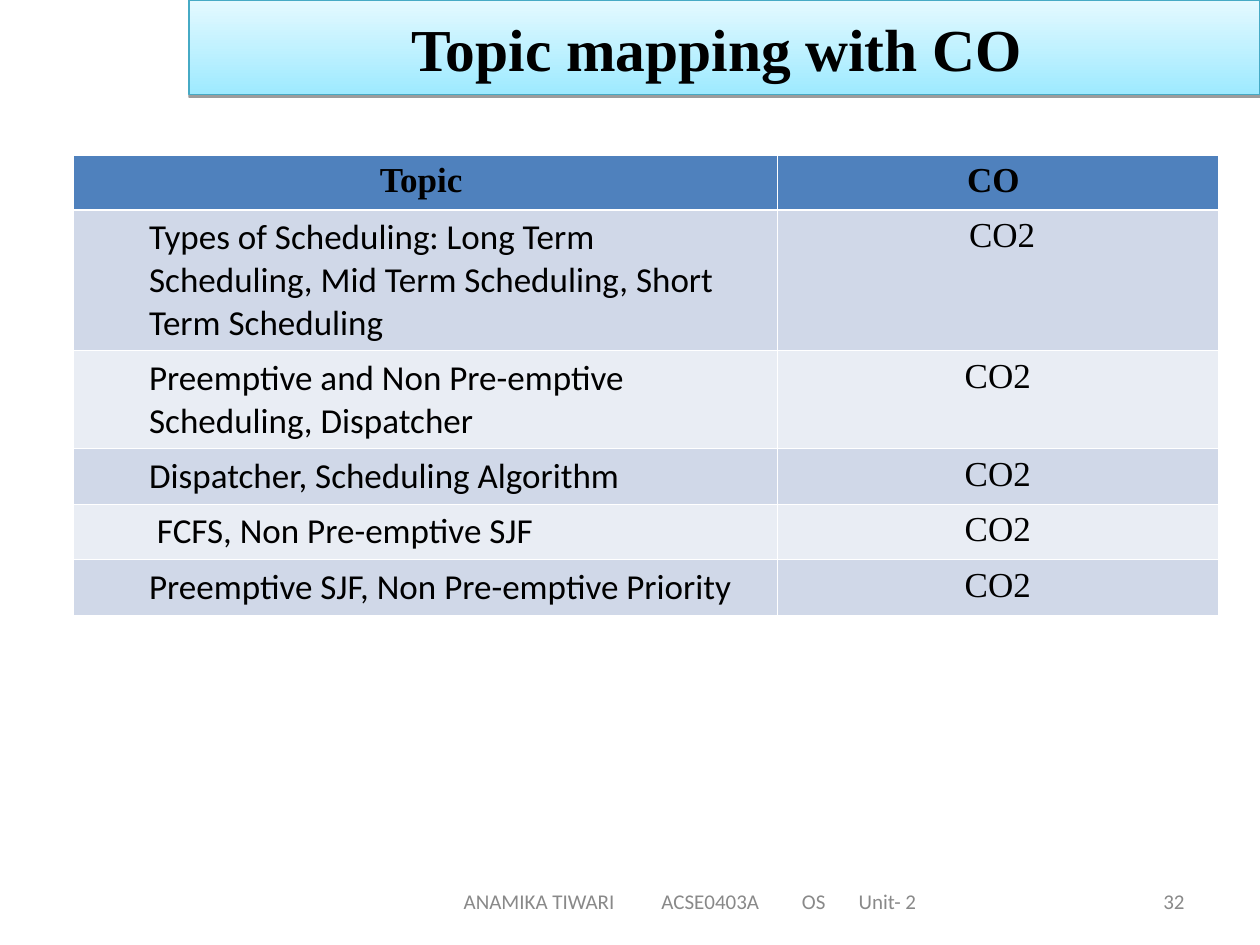
import pptx
import pptx.util
import pptx.dml.color
import pptx.enum.shapes
import pptx.enum.text
import pptx.oxml
import pptx.oxml.ns
import lxml.etree

Pt = pptx.util.Pt
RGB = pptx.dml.color.RGBColor
ALIGN = pptx.enum.text.PP_ALIGN
MIDDLE = pptx.enum.text.MSO_ANCHOR.MIDDLE
qn = pptx.oxml.ns.qn

BLACK = RGB(0x00, 0x00, 0x00)
WHITE = RGB(0xFF, 0xFF, 0xFF)
GREY = RGB(0x89, 0x89, 0x89)
TEAL = RGB(0x46, 0xAA, 0xC5)
AQUA = RGB(0x9E, 0xEA, 0xFF)
PALE_AQUA = RGB(0xE4, 0xF9, 0xFF)
HEADER_BLUE = RGB(0x4F, 0x81, 0xBD)
BANDS = (RGB(0xD0, 0xD8, 0xE8), RGB(0xE9, 0xED, 0xF4))

SERIF, SANS = "Times New Roman", "Calibri"
THIN, THICK = 0.45, 1.47


class Deck:
    """Holds the presentation, its current slide and the shared style."""

    def __init__(self, width, height):
        self.prs = pptx.Presentation()
        self.prs.slide_width, self.prs.slide_height = Pt(width), Pt(height)
        self.s = self.prs.slides.add_slide(self.prs.slide_layouts[6])

    def set_text(self, tf, text, font, size, color=BLACK, bold=False, align=ALIGN.LEFT, tabs=()):
        tf.word_wrap = True
        p = tf.paragraphs[0]
        p.text = text
        p.alignment = align
        if tabs:
            tab_list = lxml.etree.SubElement(p._p.get_or_add_pPr(), qn("a:tabLst"))
            for stop in tabs:
                lxml.etree.SubElement(tab_list, qn("a:tab"), pos=str(int(Pt(stop))), algn="l")
        p.font.name, p.font.size, p.font.bold = font, Pt(size), bold
        p.font.color.rgb = color

    def footer(self, text, x, width, align, inset=7.2, tabs=()):
        tf = self.s.shapes.add_textbox(Pt(x), Pt(500.4), Pt(width), Pt(28.8)).text_frame
        tf.vertical_anchor = MIDDLE
        tf.margin_left = Pt(inset)
        self.set_text(tf, text, SANS, 12, GREY, align=align, tabs=tabs)

    def banner(self, text, x, y, width, height):
        sp = self.s.shapes.add_shape(pptx.enum.shapes.MSO_SHAPE.RECTANGLE,
                                     Pt(x), Pt(y), Pt(width), Pt(height))
        sp.fill.gradient()
        sp.fill.gradient_angle = 90
        for stop, color in zip(sp.fill.gradient_stops, (AQUA, PALE_AQUA)):
            stop.color.rgb = color
        sp.line.color.rgb, sp.line.width = TEAL, Pt(0.75)
        # Drop shadow below the banner
        sp.shadow.inherit = False
        effects = sp._element.spPr.find(qn("a:effectLst"))
        shadow = lxml.etree.SubElement(effects, qn("a:outerShdw"), blurRad="0",
                                       dist=str(int(Pt(1.6))), dir="5400000", rotWithShape="0")
        tint = lxml.etree.SubElement(shadow, qn("a:srgbClr"), val=str(BLACK))
        lxml.etree.SubElement(tint, qn("a:alpha"), val="38000")
        sp.text_frame.vertical_anchor = MIDDLE
        self.set_text(sp.text_frame, text, SERIF, 34, bold=True, align=ALIGN.CENTER)

    def borders(self, cell, top, bottom):
        tc_pr = cell._tc.get_or_add_tcPr()
        for side, width in (("L", THIN), ("R", THIN), ("T", top), ("B", bottom)):
            ln = lxml.etree.SubElement(tc_pr, qn("a:ln" + side), w=str(int(Pt(width))))
            fill = lxml.etree.SubElement(ln, qn("a:solidFill"))
            lxml.etree.SubElement(fill, qn("a:srgbClr"), val=str(WHITE))

    def table(self, rows, x, y, widths, heights):
        t = self.s.shapes.add_table(len(rows), len(widths), Pt(x), Pt(y),
                                    Pt(sum(widths)), Pt(sum(heights))).table
        for column, width in zip(t.columns, widths):
            column.width = Pt(width)
        for i, (row, height) in enumerate(zip(rows, heights)):
            t.rows[i].height = Pt(height)
            header = i == 0
            for j, text in enumerate(row):
                cell = t.cell(i, j)
                self.borders(cell, THICK if i == 1 else THIN, THICK if header else THIN)
                cell.fill.solid()
                cell.fill.fore_color.rgb = HEADER_BLUE if header else BANDS[(i - 1) % 2]
                topic = j == 0 and not header
                if topic:
                    cell.margin_left = Pt(43.2)
                self.set_text(cell.text_frame, text, SANS if topic else SERIF, 20, bold=header,
                              align=ALIGN.LEFT if topic else ALIGN.CENTER)


def main():
    deck = Deck(720, 540)

    # Footer and slide number
    deck.footer("ANAMIKA TIWARI\tACSE0403A\tOS\tUnit- 2", 198, 396, ALIGN.LEFT,
                inset=67, tabs=(113, 193.3, 225.7))
    deck.footer("32", 516.2, 167.8, ALIGN.RIGHT)

    # Title banner
    deck.banner("Topic mapping with CO ", 108, 0, 612, 54)

    # Topic table
    rows = [
        ("Topic ", "CO "),
        ("Types of Scheduling: Long Term Scheduling, Mid Term Scheduling, "
         "Short Term Scheduling", " CO2"),
        ("Preemptive and Non Pre-emptive Scheduling, Dispatcher", "CO2"),
        ("Dispatcher, Scheduling Algorithm", "CO2"),
        (" FCFS, Non Pre-emptive SJF", "CO2"),
        ("Preemptive SJF, Non Pre-emptive Priority", "CO2"),
    ]
    deck.table(rows, 42, 88.6, (402.4, 251.6), (31.2, 80.6, 56, 31.7, 31.7, 31.7))

    deck.prs.save("out.pptx")


if __name__ == "__main__":
    main()
